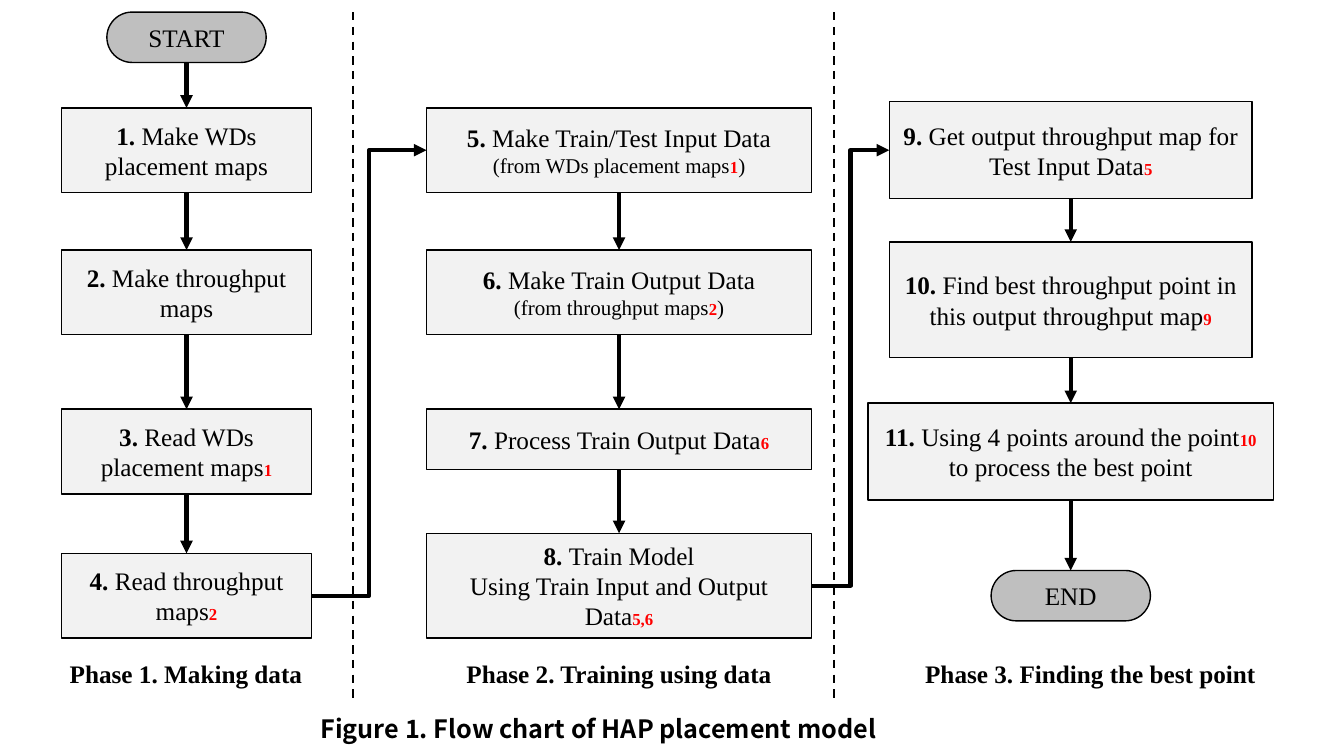
from dataclasses import dataclass

from lxml import etree
from pptx import Presentation
from pptx.dml.color import RGBColor
from pptx.enum.dml import MSO_LINE
from pptx.enum.shapes import MSO_CONNECTOR, MSO_SHAPE
from pptx.enum.text import MSO_ANCHOR, MSO_AUTO_SIZE, PP_ALIGN
from pptx.oxml.ns import qn
from pptx.util import Pt

PX = 9144  # 100 px to the inch
RECT, PILL = MSO_SHAPE.RECTANGLE, MSO_SHAPE.ROUNDED_RECTANGLE
STRAIGHT, ELBOW = MSO_CONNECTOR.STRAIGHT, MSO_CONNECTOR.ELBOW
DASH = MSO_LINE.DASH
MIDDLE = MSO_ANCHOR.MIDDLE
FIT = MSO_AUTO_SIZE.SHAPE_TO_FIT_TEXT
CENTER, LEFT = PP_ALIGN.CENTER, PP_ALIGN.LEFT
TOP_SIDE, LEFT_SIDE, BOTTOM_SIDE, RIGHT_SIDE = range(4)


@dataclass(frozen=True)
class Theme:
    ink: RGBColor = RGBColor(0x00, 0x00, 0x00)
    ref: RGBColor = RGBColor(0xFF, 0x00, 0x00)
    step: RGBColor = RGBColor(0xF2, 0xF2, 0xF2)
    terminal: RGBColor = RGBColor(0xBF, 0xBF, 0xBF)
    serif: str = "Times New Roman"
    sans: str = "Noto Sans CJK KR"
    body_size: int = 18
    note_size: int = 15
    ref_size: int = 12


THEME = Theme()
# Run styles: size, bold, colour
BODY = (THEME.body_size, False, THEME.ink)
BOLD = (THEME.body_size, True, THEME.ink)
NOTE = (THEME.note_size, False, THEME.ink)
REF = (THEME.ref_size, True, THEME.ref)

TERMINAL_W, TERMINAL_H = 158, 50
LABEL_TOP, LABEL_H = 637, 40


def step(top, width, height, *lines):
    return RECT, THEME.step, top, width, height, lines


def terminal(top, text):
    return PILL, THEME.terminal, top, TERMINAL_W, TERMINAL_H, [[(text, BODY)]]


# Each phase: box, steps (tops counted from the box), label, label width, label shift
PHASES = [
    ((61, 12, 248, 685), [
        terminal(0, "START"),
        step(95, 248, 84, [("1. ", BOLD), ("Make WDs placement maps", BODY)]),
        step(236, 248, 84, [("2. ", BOLD), ("Make throughput maps", BODY)]),
        step(394, 248, 84, [("3. ", BOLD), ("Read WDs placement maps", BODY), ("1", REF)]),
        step(537, 248, 84, [("4. ", BOLD), ("Read throughput maps", BODY), ("2", REF)]),
    ], "Phase 1. Making data", 253, 0),
    ((423, 12, 382, 685), [
        step(95, 382, 84, [("5. ", BOLD), ("Make Train/Test Input Data", BODY)],
             [("(from WDs placement maps", NOTE), ("1", REF), (")", NOTE)]),
        step(236, 382, 84, [("6. ", BOLD), ("Make Train Output Data", BODY)],
             [("(from throughput maps", NOTE), ("2", REF), (")", NOTE)]),
        step(394, 382, 60, [("7. ", BOLD), ("Process Train Output Data", BODY), ("6", REF)]),
        step(517, 382, 104, [("8. ", BOLD), ("Train Model", BODY)],
             [("Using Train Input and Output Data", BODY), ("5,6", REF)]),
    ], "Phase 2. Training using data", 326, 0),
    ((861, 12, 402, 685), [
        step(89, 360, 96, [("9. ", BOLD),
                           ("Get output throughput map for Test Input Data", BODY), ("5", REF)]),
        step(228, 360, 115, [("10. ", BOLD),
                             ("Find best throughput point in this output throughput map", BODY),
                             ("9", REF)]),
        step(388, 402, 96, [("11. ", BOLD), ("Using 4 points around the point", BODY),
                            ("10", REF), (" to process the best point", BODY)]),
        terminal(554, "END"),
    ], "Phase 3. Finding the best point", 351, 20),
]
DIVIDERS = [350, 827]


def px(*lengths):
    return [length * PX for length in lengths]


def write(tf, lines, font=THEME.serif, align=CENTER):
    for i, line in enumerate(lines):
        p = tf.add_paragraph() if i else tf.paragraphs[0]
        p.alignment = align
        p.font.name = font
        for text, (size, bold, color) in line:
            r = p.add_run()
            r.text = text
            r.font.size = Pt(size)
            r.font.bold = bold
            r.font.color.rgb = color


def add_heading(s, box, text, font=THEME.serif, align=CENTER):
    tf = s.shapes.add_textbox(*px(*box)).text_frame
    tf.word_wrap = False
    tf.auto_size = FIT
    write(tf, [[(text, BOLD)]], font, align)


def add_node(s, box, geometry, fill, lines):
    sp = s.shapes.add_shape(geometry, *px(*box))
    sp.shadow.inherit = False
    if geometry == PILL:
        sp.adjustments[0] = 0.5
    sp.fill.solid()
    sp.fill.fore_color.rgb = fill
    sp.line.color.rgb = THEME.ink
    sp.line.width = Pt(1)
    sp.text_frame.word_wrap = True
    sp.text_frame.vertical_anchor = MIDDLE
    write(sp.text_frame, lines)
    return sp


def add_line(s, kind, width, ends=(0, 0, 0, 0)):
    line = s.shapes.add_connector(kind, *px(*ends))
    line.line.color.rgb = THEME.ink
    line.line.width = Pt(width)
    etree.SubElement(line._element.spPr, qn("a:effectLst"))
    return line


def add_arrow(s, kind, start, start_side, end, end_side):
    arrow = add_line(s, kind, 3)
    arrow.begin_connect(start, start_side)
    arrow.end_connect(end, end_side)
    etree.SubElement(arrow.line._get_or_add_ln(), qn("a:tailEnd"), type="triangle")


def add_phase(s, box, steps, label, label_width, label_shift):
    """Draw one column of linked steps and return its nodes."""
    left, top, width, _ = box
    nodes = []
    for geometry, fill, offset, w, h, lines in steps:
        node_box = (left + (width - w) // 2, top + offset, w, h)
        nodes.append(add_node(s, node_box, geometry, fill, lines))
    for start, end in zip(nodes, nodes[1:]):
        add_arrow(s, STRAIGHT, start, BOTTOM_SIDE, end, TOP_SIDE)
    label_left = left + (width - label_width) // 2 + label_shift
    add_heading(s, (label_left, top + LABEL_TOP - 1, label_width, LABEL_H), label)
    return nodes


def add_flow_chart(s):
    columns = [add_phase(s, *phase) for phase in PHASES]
    for column, following in zip(columns, columns[1:]):
        add_arrow(s, ELBOW, column[-1], RIGHT_SIDE, following[0], LEFT_SIDE)
    _, top, _, height = PHASES[0][0]
    for x in DIVIDERS:
        add_line(s, STRAIGHT, 1.5, (x, top, x, top + height)).line.dash_style = DASH


def main():
    prs = Presentation()
    prs.slide_width, prs.slide_height = px(1333, 750)
    s = prs.slides.add_slide(prs.slide_layouts[6])
    add_flow_chart(s)
    add_heading(s, (308, 703, 575, 40), "Figure 1. Flow chart of HAP placement model",
                THEME.sans, LEFT)
    prs.save("out.pptx")


if __name__ == "__main__":
    main()
